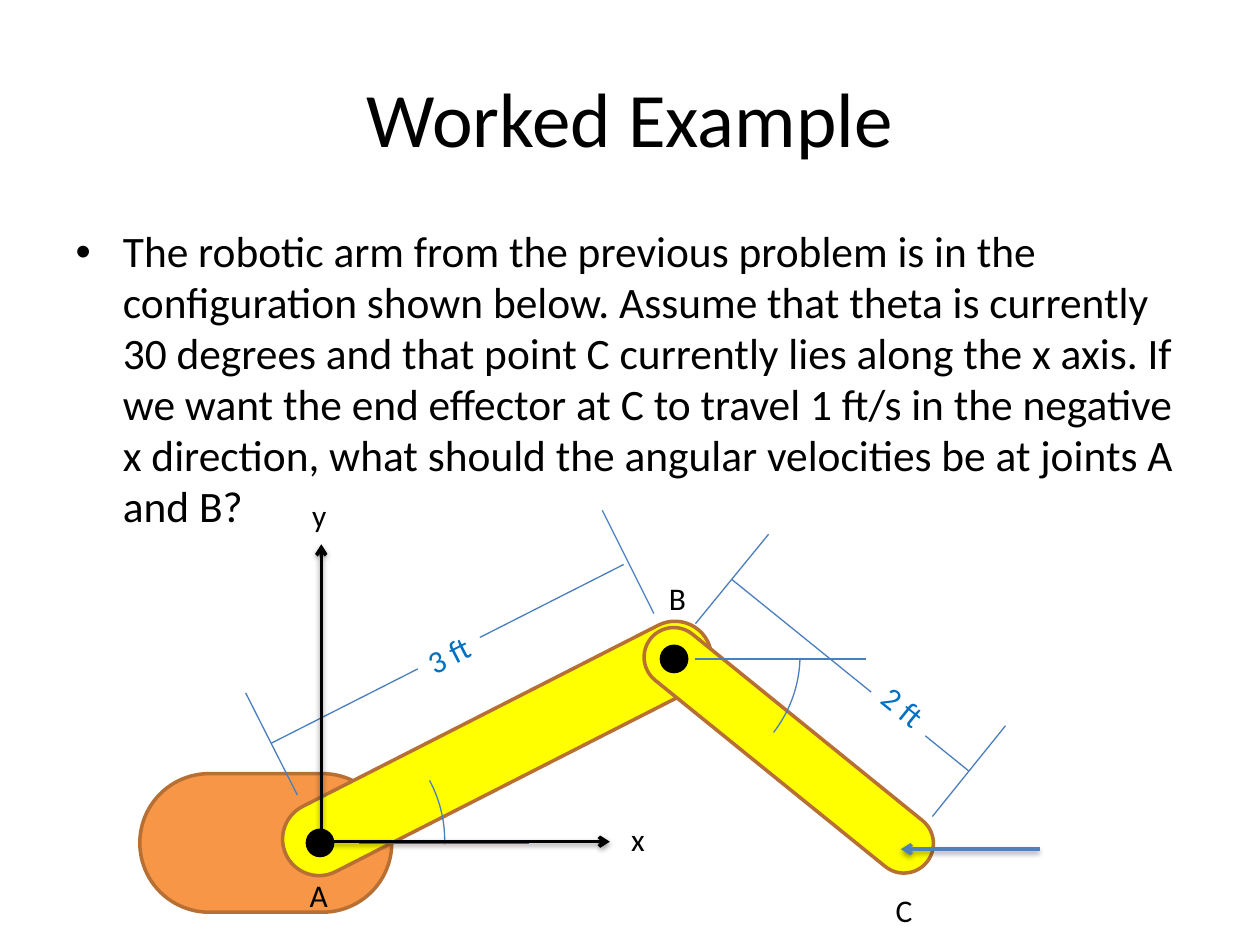
from dataclasses import dataclass

from lxml import etree
from pptx import Presentation
from pptx.dml.color import RGBColor
from pptx.enum.shapes import MSO_CONNECTOR, MSO_SHAPE
from pptx.enum.text import MSO_ANCHOR, MSO_AUTO_SIZE, PP_ALIGN
from pptx.oxml.ns import qn
from pptx.util import Inches, Pt

STRAIGHT = MSO_CONNECTOR.STRAIGHT
ROUNDED, ARC = MSO_SHAPE.ROUNDED_RECTANGLE, MSO_SHAPE.ARC
MIDDLE, TOP = MSO_ANCHOR.MIDDLE, MSO_ANCHOR.TOP
NO_FIT, GROW = MSO_AUTO_SIZE.NONE, MSO_AUTO_SIZE.SHAPE_TO_FIT_TEXT
LEFT, CENTER = PP_ALIGN.LEFT, PP_ALIGN.CENTER


@dataclass(frozen=True)
class Theme:
    font: str = "Calibri"
    black: str = "000000"
    white: str = "FFFFFF"
    base: str = "F79646"
    arm: str = "FFFF00"
    outline: str = "B76F34"
    guide: str = "4B7EBC"
    velocity: str = "4F81BD"
    dimension: str = "0070C0"
    title_pt: float = 44
    body_pt: float = 24.8
    label_pt: float = 18
    thin_pt: float = 0.75
    thick_pt: float = 2


@dataclass(frozen=True)
class Capsule:
    box: tuple
    fill: str
    line: str
    rotation: float = 0


@dataclass(frozen=True)
class Label:
    text: str
    box: tuple
    color: str
    wrap: bool = False
    rotation: float = 0
    fill: str = ""


@dataclass(frozen=True)
class Segment:
    start: tuple
    end: tuple
    color: str
    width: float
    arrow: bool = False


@dataclass(frozen=True)
class AngleArc:
    center: tuple
    start: float
    end: float


T = Theme()
ARC_RADIUS = 1

PROBLEM = (
    "The robotic arm from the previous problem is in the configuration shown below. "
    "Assume that theta is currently 30 degrees and that point C currently lies along "
    "the x axis. If we want the end effector at C to travel 1 ft/s in the negative "
    "x direction, what should the angular velocities be at joints A and B?"
)


def guide(start: tuple, end: tuple) -> Segment:
    return Segment(start, end, T.guide, T.thin_pt)


def arrow(start: tuple, end: tuple, color: str) -> Segment:
    return Segment(start, end, color, T.thick_pt, True)


PARTS = [
    Capsule((1.11, 6.14, 2, 1.1), T.base, T.outline),
    Capsule((2.07, 5.65, 3.75, 0.58), T.arm, T.outline, 333),
    guide((5.19, 4.87), (4.78, 4.05)),
    guide((2.36, 6.31), (1.95, 5.5)),
    guide((2.15, 5.9), (4.95, 4.48)),
    Label("3 ft", (3.29, 4.99, 0.55, 0.4), T.dimension, rotation=333, fill=T.white),
    Capsule((2.44, 6.59, 0.2, 0.2), T.black, T.black),
    Capsule((4.85, 5.72, 2.82, 0.47), T.arm, T.outline, 39),
    guide((7.4, 6.48), (7.98, 5.76)),
    guide((5.52, 4.95), (6.1, 4.24)),
    guide((5.81, 4.6), (7.69, 6.12)),
    Label("2 ft", (6.9, 5.41, 0.55, 0.4), T.dimension, rotation=39, fill=T.white),
    Capsule((5.25, 5.13, 0.2, 0.2), T.black, T.black),
    guide((5.52, 5.23), (6.87, 5.23)),
    guide((2.85, 6.69), (4.2, 6.69)),
    AngleArc((2.53, 6.67), 331.62, 1.8),
    AngleArc((5.35, 5.2), 1.3, 37.84),
    Label("A", (2.36, 6.9, 0.35, 0.4), T.black),
    Label("B", (5.21, 4.55, 0.34, 0.4), T.black),
    Label("C", (7.01, 7.02, 0.34, 0.4), T.black),
    arrow((2.62, 6.68), (4.84, 6.68), T.black),
    Label("y", (2.38, 3.89, 0.6, 0.41), T.black, wrap=True),
    Label("x", (4.91, 6.46, 0.59, 0.41), T.black, wrap=True),
    arrow((2.55, 6.65), (2.55, 4.32), T.black),
    arrow((8.25, 6.74), (7.15, 6.74), T.velocity),
]


def inches(values: tuple) -> list:
    return [Inches(v) for v in values]


def rgb(color: str) -> RGBColor:
    return RGBColor.from_string(color)


def set_fill(s, color: str) -> None:
    s.fill.solid()
    s.fill.fore_color.rgb = rgb(color)


def set_line(s, color: str, width: float) -> None:
    s.line.color.rgb = rgb(color)
    s.line.width = Pt(width)


def write(tf, text: str, *, size: float, color: str = T.black, align=LEFT,
          anchor=TOP, wrap: bool = True, fit=NO_FIT, spacing: float = 1) -> None:
    tf.word_wrap = wrap
    tf.auto_size = fit
    tf.vertical_anchor = anchor
    p = tf.paragraphs[0]
    p.alignment = align
    p.space_before = Pt(0)
    p.line_spacing = spacing
    r = p.add_run()
    r.text = text
    r.font.name = T.font
    r.font.size = Pt(size)
    r.font.color.rgb = rgb(color)


def draw_capsule(shapes, part: Capsule) -> None:
    s = shapes.add_shape(ROUNDED, *inches(part.box))
    s.shadow.inherit = False
    s.adjustments[0] = 0.5
    s.rotation = part.rotation
    set_fill(s, part.fill)
    set_line(s, part.line, T.thick_pt)


def draw_label(shapes, part: Label) -> None:
    s = shapes.add_textbox(*inches(part.box))
    s.rotation = part.rotation
    if part.fill:
        set_fill(s, part.fill)
    write(s.text_frame, part.text, size=T.label_pt, color=part.color,
          wrap=part.wrap, fit=GROW)


def draw_segment(shapes, part: Segment) -> None:
    s = shapes.add_connector(STRAIGHT, *inches(part.start + part.end))
    set_line(s, part.color, part.width)
    props = s.element.spPr
    effects = etree.SubElement(props, qn("a:effectLst"))
    if part.arrow:
        etree.SubElement(props.find(qn("a:ln")), qn("a:tailEnd"), type="arrow")
        shadow = etree.SubElement(
            effects, qn("a:outerShdw"), blurRad=str(Pt(3.1)), dist=str(Pt(1.6)),
            dir="5400000", rotWithShape="0")
        color = etree.SubElement(shadow, qn("a:srgbClr"), val=T.black)
        etree.SubElement(color, qn("a:alpha"), val="38000")


def draw_arc(shapes, part: AngleArc) -> None:
    x, y = part.center
    box = (x - ARC_RADIUS, y - ARC_RADIUS, 2 * ARC_RADIUS, 2 * ARC_RADIUS)
    s = shapes.add_shape(ARC, *inches(box))
    s.shadow.inherit = False
    s.fill.background()
    set_line(s, T.guide, T.thin_pt)
    for i, degrees in enumerate((part.start, part.end)):
        s.adjustments[i] = degrees * 0.6


def place(s, box: tuple) -> None:
    s.left, s.top, s.width, s.height = inches(box)


def main() -> None:
    prs = Presentation()
    prs.slide_width, prs.slide_height = Inches(10), Inches(7.5)
    slide = prs.slides.add_slide(prs.slide_layouts[1])
    title, body = slide.placeholders
    place(title, (0.5, 0.3, 9, 1.25))
    write(title.text_frame, "Worked Example", size=T.title_pt, align=CENTER, anchor=MIDDLE)
    place(body, (0.5, 1.75, 9, 2.21))
    write(body.text_frame, PROBLEM, size=T.body_pt, spacing=0.98)

    draw = {Capsule: draw_capsule, Label: draw_label,
            Segment: draw_segment, AngleArc: draw_arc}
    for part in PARTS:
        draw[type(part)](slide.shapes, part)
    prs.save("out.pptx")


if __name__ == "__main__":
    main()
